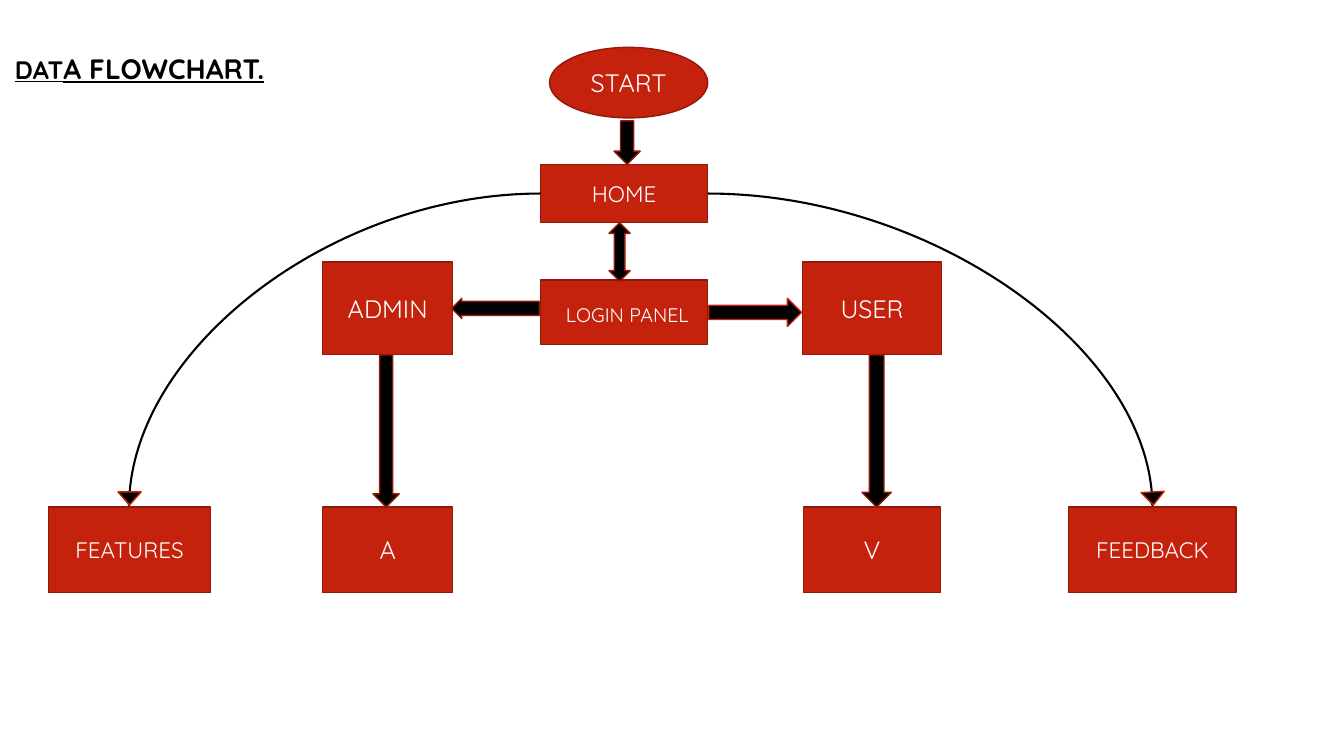
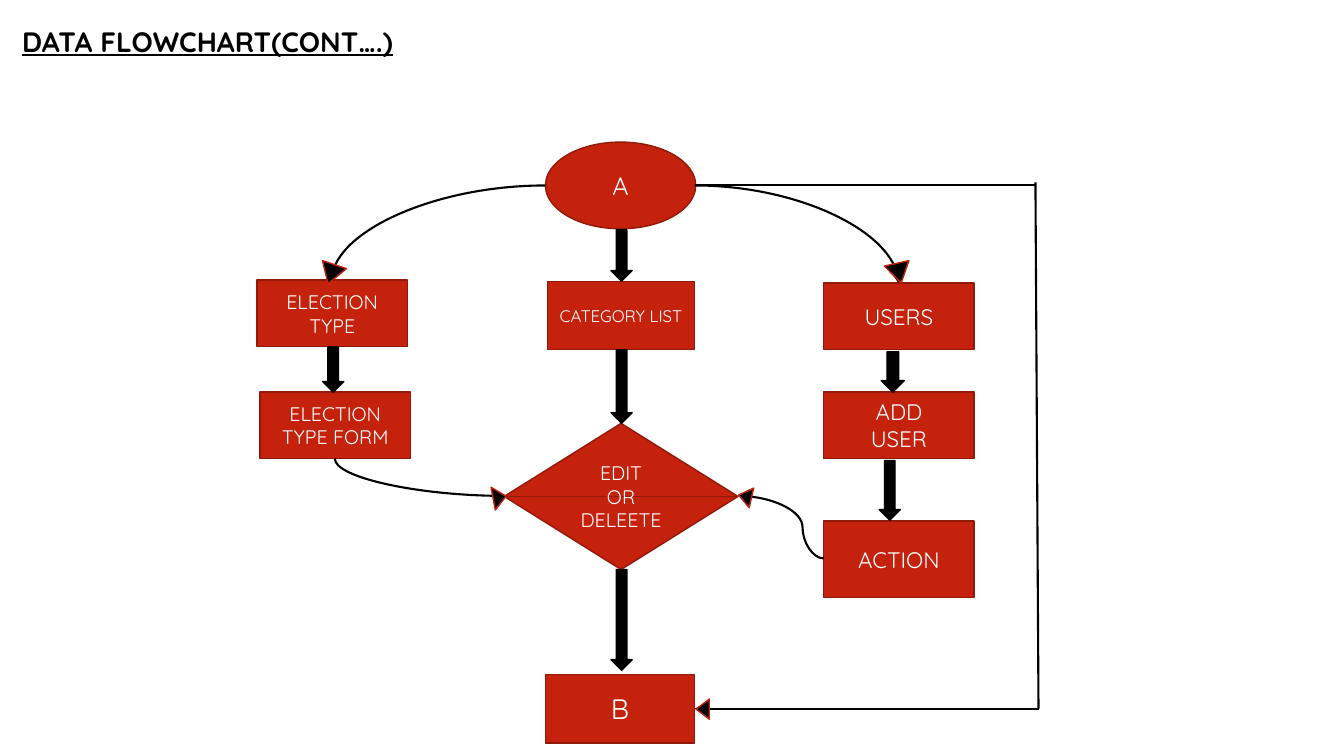
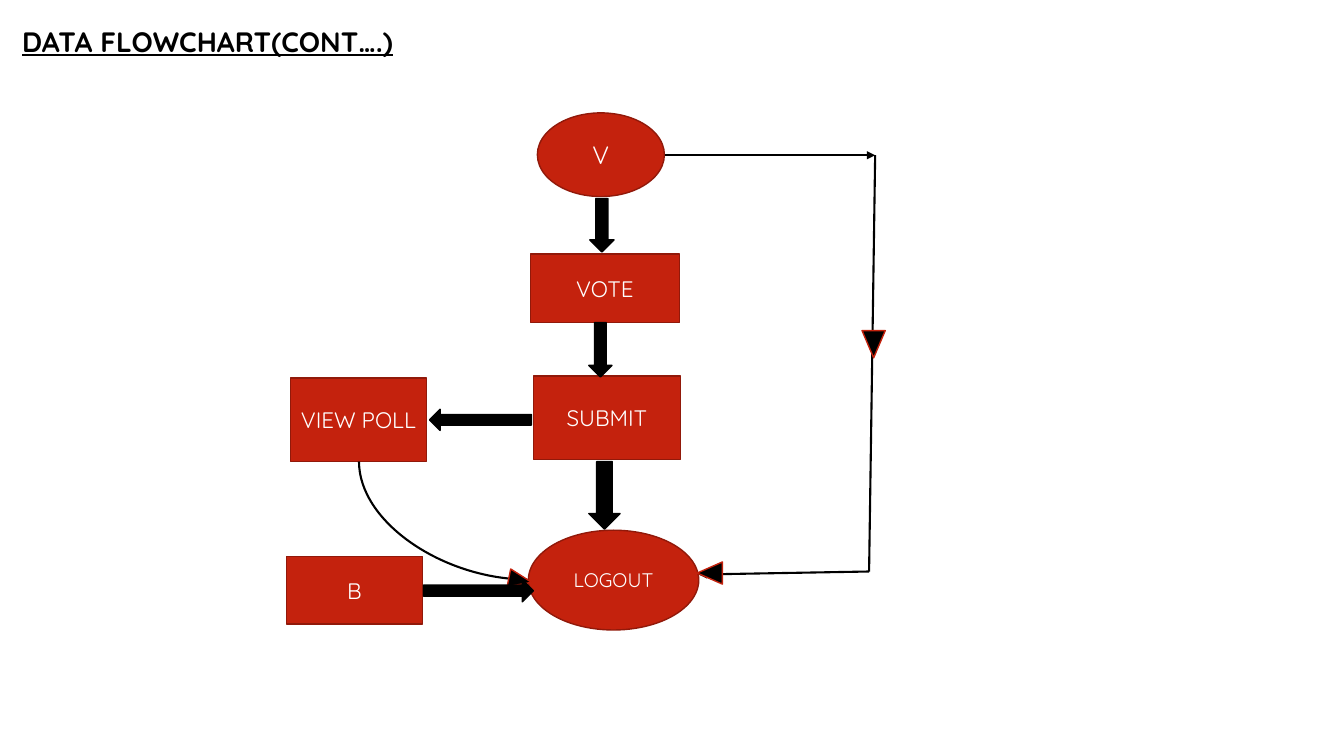
from dataclasses import dataclass

from lxml import etree
from pptx import Presentation
from pptx import util as u
from pptx.dml.color import RGBColor
from pptx.enum import shapes, text
from pptx.oxml import ns

KIND = shapes.MSO_SHAPE


@dataclass(frozen=True)
class Theme:
    font: str = "Quicksand"
    red: str = "C4220D"
    dark_red: str = "91190A"
    black: str = "000000"
    white: str = "FFFFFF"
    title: int = 20
    large: int = 18
    medium: int = 16
    small: int = 14
    tiny: int = 12
    outline: float = 1
    connector: float = 1.5


THEME = Theme()
CONTINUED = [("DATA FLOWCHART(CONT….)", THEME.title)]
CONTINUED_BOX = (0.12, 0.19, 4.38, 0.44)


def inches(values):
    return [u.Inches(value) for value in values]


# Text
def write(paragraph, runs, color, heading=False):
    for words, size in runs:
        run = paragraph.add_run()
        run.text = words
        font = run.font
        font.name, font.size = THEME.font, u.Pt(size)
        font.color.rgb = RGBColor.from_string(color)
        if heading:
            font.bold = font.underline = True


def add_title(slide, box, runs):
    frame = slide.shapes.add_textbox(*inches(box)).text_frame
    frame.word_wrap = True
    frame.auto_size = text.MSO_AUTO_SIZE.SHAPE_TO_FIT_TEXT
    write(frame.paragraphs[0], runs, THEME.black, heading=True)


# Filled shapes
def add_filled(slide, kind, box, fill, line):
    shape = slide.shapes.add_shape(kind, *inches(box))
    shape.shadow.inherit = False
    shape.fill.solid()
    shape.fill.fore_color.rgb = RGBColor.from_string(fill)
    shape.line.color.rgb = RGBColor.from_string(line)
    shape.line.width = u.Pt(THEME.outline)
    return shape


def add_node(slide, kind, box, *lines):
    """A red flowchart step; each line is a list of (words, size) runs."""
    shape = add_filled(slide, kind, box, THEME.red, THEME.dark_red)
    frame = shape.text_frame
    frame.vertical_anchor = text.MSO_ANCHOR.MIDDLE
    for index, runs in enumerate(lines):
        paragraph = frame.add_paragraph() if index else frame.paragraphs[0]
        paragraph.alignment = text.PP_ALIGN.CENTER
        write(paragraph, runs, THEME.white)


def add_arrow(slide, kind, box, line=THEME.black):
    return add_filled(slide, kind, box, THEME.black, line)


def add_marker(slide, box, rotation):
    """A triangle that enlarges the head of a connector."""
    marker = add_filled(slide, KIND.FLOWCHART_EXTRACT, box, THEME.black, THEME.red)
    marker.rotation = rotation


# Connectors
def add_line(slide, start, end, head=True, kind=shapes.MSO_CONNECTOR.STRAIGHT):
    connector = slide.shapes.add_connector(kind, *inches(start + end))
    connector.line.color.rgb = RGBColor.from_string(THEME.black)
    connector.line.width = u.Pt(THEME.connector)
    properties = connector.element.spPr
    if head:
        outline = properties.find(ns.qn("a:ln"))
        etree.SubElement(outline, ns.qn("a:tailEnd"), type="triangle")
    etree.SubElement(properties, ns.qn("a:effectLst"))
    return connector


def add_arc(slide, start, end):
    """A quarter curve that leaves sideways and arrives from above."""
    connector = add_line(slide, start, end, kind=shapes.MSO_CONNECTOR.CURVE)
    geometry = connector.element.spPr.find(ns.qn("a:prstGeom"))
    geometry.set("prst", "curvedConnector2")
    return connector


def add_falling_arc(slide, start, end):
    """A quarter curve that leaves downwards and arrives from the left."""
    (left, top), (right, bottom) = start, end
    middle_x, middle_y = (left + right) / 2, (top + bottom) / 2
    half_width, half_height = (bottom - top) / 2, (right - left) / 2
    connector = add_arc(slide, (middle_x - half_width, middle_y - half_height),
                        (middle_x + half_width, middle_y + half_height))
    frame = connector.element.spPr.find(ns.qn("a:xfrm"))
    frame.set("rot", str(270 * 60000))
    frame.set("flipH", "1")


def add_s_curve(slide, start, end, bend):
    connector = add_line(slide, start, end, kind=shapes.MSO_CONNECTOR.CURVE)
    guides = connector.element.spPr.find(ns.qn("a:prstGeom")).find(ns.qn("a:avLst"))
    etree.SubElement(guides, ns.qn("a:gd"), name="adj1", fmla=f"val {round(bend * 100000)}")


# Slides
def build_overview(slide):
    large, medium = THEME.large, THEME.medium
    add_title(slide, (0.05, 0.46, 3.95, 0.44), [("DAT", large), ("A FLOWCHART.", THEME.title)])

    # Steps
    add_node(slide, KIND.OVAL, (5.45, 0.47, 1.57, 0.7), [("START", large)])
    add_node(slide, KIND.RECTANGLE, (5.36, 1.63, 1.66, 0.58), [("HOME", medium)])
    add_node(slide, KIND.RECTANGLE, (5.36, 2.78, 1.66, 0.64),
             [(" ", large), ("LOGIN PANEL", THEME.small)])
    for left, width, words in ((3.2, 1.29, "ADMIN"), (7.96, 1.38, "USER")):
        add_node(slide, KIND.RECTANGLE, (left, 2.6, width, 0.92), [(words, large)])
    for left, width, words, size in (
            (0.48, 1.61, "FEATURES", medium), (3.2, 1.29, "A", large),
            (7.97, 1.36, "V", large), (10.6, 1.66, "FEEDBACK", medium)):
        add_node(slide, KIND.RECTANGLE, (left, 5.03, width, 0.85), [(words, size)])

    # Curves from HOME
    for start, end, rotation in ((5.36, 1.28, 180), (7.02, 11.43, 176.8)):
        add_arc(slide, (start, 1.92), (end, 5.03))
        add_marker(slide, (end - 0.11, 4.88, 0.23, 0.13), rotation)

    # Block arrows
    for box in ((6.09, 1.2, 0.26, 0.43), (3.7, 3.52, 0.26, 1.51), (8.55, 3.52, 0.29, 1.51)):
        add_arrow(slide, KIND.DOWN_ARROW, box, THEME.dark_red)
    add_arrow(slide, KIND.UP_DOWN_ARROW, (6.04, 2.21, 0.21, 0.58), THEME.dark_red)
    add_arrow(slide, KIND.RIGHT_ARROW, (7.03, 2.96, 0.92, 0.28), THEME.red)
    to_admin = add_arrow(slide, KIND.LEFT_ARROW, (4.48, 2.96, 0.87, 0.2), THEME.dark_red)
    to_admin.adjustments[0] = 0.69


def build_admin(slide):
    medium, small = THEME.medium, THEME.small
    add_title(slide, CONTINUED_BOX, CONTINUED)

    # Steps
    add_node(slide, KIND.OVAL, (5.41, 1.41, 1.49, 0.86), [("A", THEME.large)])
    for box, size, *lines in (
            ((2.55, 2.78, 1.49, 0.66), small, "ELECTION TYPE"),
            ((2.58, 3.89, 1.49, 0.66), small, "ELECTION TYPE FORM"),
            ((5.43, 2.79, 1.46, 0.68), THEME.tiny, "CATEGORY LIST"),
            ((8.17, 2.81, 1.49, 0.66), medium, "USERS"),
            ((8.17, 3.89, 1.49, 0.66), medium, "ADD", "USER"),
            ((8.17, 5.17, 1.49, 0.76), medium, "ACTION"),
            ((5.41, 6.69, 1.48, 0.68), THEME.title, "B")):
        add_node(slide, KIND.RECTANGLE, box, *([(words, size)] for words in lines))
    add_node(slide, KIND.FLOWCHART_SORT, (5, 4.2, 2.32, 1.45),
             *([(words, small)] for words in ("EDIT", "OR", "DELEETE")))

    # Curves and the bypass from A to B
    add_arc(slide, (6.89, 1.84), (8.91, 2.81))
    add_arc(slide, (5.41, 1.84), (3.29, 2.78))
    add_falling_arc(slide, (3.32, 4.55), (5, 4.92))
    add_s_curve(slide, (8.17, 5.54), (7.33, 4.92), 0.25)
    add_line(slide, (6.89, 1.84), (10.27, 1.84), head=False)
    add_line(slide, (10.3, 7.03), (10.27, 1.81), head=False)
    add_line(slide, (10.3, 7.03), (6.89, 7.03))
    for box, rotation in (
            ((3.16, 2.62, 0.25, 0.2), 198.7), ((8.79, 2.61, 0.25, 0.2), 167.3),
            ((7.29, 4.86, 0.2, 0.13), 282.8), ((4.84, 4.87, 0.23, 0.13), 79.3),
            ((6.87, 6.97, 0.2, 0.13), 270)):
        add_marker(slide, box, rotation)

    # Block arrows
    for left, top, width, height in (
            (3.2, 3.44, 0.21, 0.45), (6.06, 2.28, 0.21, 0.51), (6.06, 3.47, 0.21, 0.73),
            (6.06, 5.65, 0.21, 1), (8.74, 3.49, 0.23, 0.4), (8.72, 4.57, 0.21, 0.59)):
        add_arrow(slide, KIND.DOWN_ARROW, (left, top, width, height))


def build_voter(slide):
    add_title(slide, CONTINUED_BOX, CONTINUED)

    # Steps
    add_node(slide, KIND.OVAL, (5.33, 1.12, 1.26, 0.83), [("V", THEME.large)])
    add_node(slide, KIND.OVAL, (5.24, 5.26, 1.69, 0.99), [("LOGOUT", THEME.small)])
    for box, words in (
            ((5.26, 2.52, 1.48, 0.68), "VOTE"), ((5.29, 3.73, 1.46, 0.83), "SUBMIT"),
            ((2.88, 3.75, 1.35, 0.83), "VIEW POLL"), ((2.84, 5.52, 1.35, 0.67), "B")):
        add_node(slide, KIND.RECTANGLE, box, [(words, THEME.medium)])

    # Bypass from V to LOGOUT, and the curve from VIEW POLL
    add_line(slide, (6.6, 1.54), (8.68, 1.54))
    add_line(slide, (8.62, 5.67), (8.68, 1.54), head=False)
    add_line(slide, (8.62, 5.67), (6.93, 5.7))
    add_falling_arc(slide, (3.56, 4.58), (5.24, 5.75))
    for box, rotation in (
            ((8.55, 3.28, 0.23, 0.27), 180), ((6.93, 5.56, 0.22, 0.25), 270),
            ((5.07, 5.64, 0.18, 0.23), 101.2)):
        add_marker(slide, box, rotation)

    # Block arrows
    for box in ((5.85, 1.97, 0.24, 0.53), (5.84, 3.2, 0.23, 0.54), (5.84, 4.58, 0.31, 0.67)):
        add_arrow(slide, KIND.DOWN_ARROW, box)
    add_arrow(slide, KIND.LEFT_ARROW, (4.26, 4.06, 1.01, 0.21))
    add_arrow(slide, KIND.RIGHT_ARROW, (4.2, 5.75, 1.09, 0.22))


def main():
    presentation = Presentation()
    presentation.slide_width, presentation.slide_height = inches((13.33, 7.5))
    blank = presentation.slide_layouts[6]
    for build in (build_overview, build_admin, build_voter):
        build(presentation.slides.add_slide(blank))
    presentation.save("out.pptx")


if __name__ == "__main__":
    main()
